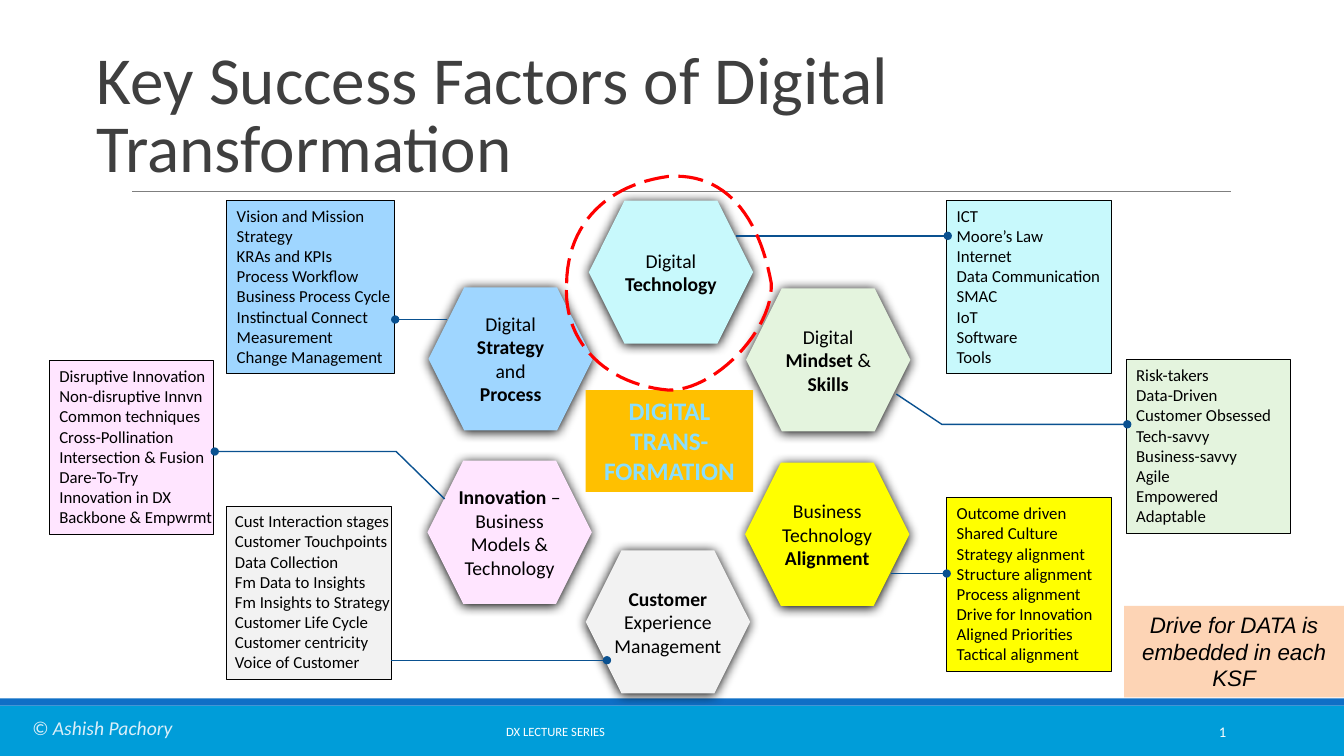
import dataclasses
import typing

import lxml.etree
import pptx
import pptx.dml.color
import pptx.enum.dml
import pptx.enum.shapes
import pptx.enum.text
import pptx.oxml.ns
import pptx.util

Inches = pptx.util.Inches
Kind = pptx.enum.shapes.MSO_SHAPE
Align = pptx.enum.text.PP_ALIGN
Anchor = pptx.enum.text.MSO_ANCHOR
Point = tuple[float, float]


@dataclasses.dataclass(frozen=True)
class Theme:
    font: str = "Calibri"
    accent: str = "Arial"
    ink: str = "000000"
    white: str = "FFFFFF"
    title: str = "3F3F3F"
    rule: str = "7F7F7F"
    band: str = "009DD9"
    stripe: str = "0F6FC6"
    author: str = "DBEFF9"
    link: str = "0A5190"
    ring: str = "FF0000"
    core: str = "FFC000"
    glow: str = "89DEFE"
    note: str = "FDD4B5"
    head: float = 48
    big: float = 18
    mid: float = 16
    body: float = 14
    small: float = 12
    page: float = 10.5
    foot: float = 9


@dataclasses.dataclass(frozen=True)
class Factor:
    """A hexagon, its list box and the link between them."""
    fill: str
    hexagon: Point
    label: str
    box: Point
    items: str
    link: tuple[Point, ...]
    pad: float = 0.1
    width: float = 1.63
    left: float = 0.1
    right: float = 0.1


THEME = Theme()
HEX = (1.63, 1.42)
BOX_H = 1.72

FACTORS = (
    Factor("C8F9FC", (5.84, 1.99), "Digital *Technology*", (9.39, 1.99),
           "ICT\nMoore’s Law\nInternet\nData Communication\nSMAC\nIoT\nSoftware\nTools",
           ((7.3, 2.34), (9.4, 2.34)), pad=0),
    Factor("E4F4DE", (7.4, 2.86), "Digital *Mindset* & *Skills*", (11.17, 3.57),
           "Risk-takers\nData-Driven\nCustomer Obsessed\nTech-savvy\n"
           "Business-savvy\nAgile\nEmpowered\nAdaptable",
           ((8.89, 3.91), (9.34, 4.21), (11.18, 4.21))),
    Factor("FFFF00", (7.39, 4.59), "Business Technology *Alignment*", (9.39, 4.94),
           "Outcome driven\nShared Culture\nStrategy alignment\nStructure alignment\n"
           "Process alignment\nDrive for Innovation\nAligned Priorities\nTactical alignment",
           ((8.84, 5.69), (9.39, 5.69))),
    Factor("F2F2F2", (5.81, 5.46), "*Customer* Experience Management", (2.25, 5.02),
           "Cust Interaction stages\nCustomer Touchpoints\nData Collection\n"
           "Fm Data to Insights\nFm Insights to Strategy\nCustomer Life Cycle\n"
           "Customer centricity\nVoice of Customer",
           ((3.88, 6.55), (6.02, 6.55)), pad=0, left=0.08, right=0),
    Factor("FFE5FF", (4.24, 4.57), "*Innovation* –Business Models &\nTechnology", (0.49, 3.58),
           "Disruptive Innovation\nNon-disruptive Innvn\nCommon techniques\n"
           "Cross-Pollination\nIntersection & Fusion\nDare-To-Try\n"
           "Innovation in DX\nBackbone & Empwrmt",
           ((4.41, 4.95), (3.93, 4.48), (2.13, 4.48)), pad=0, right=0),
    Factor("9FD6FF", (4.25, 2.85), "Digital *Strategy* and *Process*", (2.25, 1.99),
           "Vision and Mission\nStrategy\nKRAs and KPIs\nProcess Workflow\n"
           "Business Process Cycle\nInstinctual Connect\nMeasurement\nChange Management",
           ((4.43, 3.17), (3.92, 3.17)), width=1.66, right=0),
)

RING = (
    ((5.62, 2.81), (5.63, 2.2), (6.04, 1.83), (6.63, 1.75)),
    ((6.63, 1.75), (7.2, 1.71), (7.53, 2.15), (7.65, 2.81)),
    ((7.65, 2.81), (7.67, 3.28), (7.08, 3.88), (6.63, 3.87)),
    ((6.63, 3.87), (6.05, 3.82), (5.58, 3.43), (5.62, 2.81)),
)


def color(code: str) -> pptx.dml.color.RGBColor:
    return pptx.dml.color.RGBColor.from_string(code)


def add(parent: typing.Any, tag: str, **attrs: str) -> typing.Any:
    return lxml.etree.SubElement(parent, pptx.oxml.ns.qn(tag), attrs)


def write(shape: typing.Any, text: str, *, size: float, ink: str = THEME.ink,
          font: str = THEME.font, bold: bool = False, italic: bool = False,
          align: typing.Any = Align.LEFT, anchor: typing.Any = Anchor.TOP,
          left: float = 0.1, right: float = 0.1, space: float = 1.0) -> None:
    """Fill a shape with text; newlines part paragraphs, asterisks mark bold."""
    frame = shape.text_frame
    frame.word_wrap = True
    frame.vertical_anchor = anchor
    frame.margin_left, frame.margin_right = Inches(left), Inches(right)
    frame.margin_top = frame.margin_bottom = Inches(0.05)
    for row, line in enumerate(text.split("\n")):
        para = frame.add_paragraph() if row else frame.paragraphs[0]
        para.alignment = align
        para.line_spacing = space
        for part, words in enumerate(line.split("*")):
            if not words:
                continue
            run = para.add_run()
            run.text = words
            run.font.name = font
            run.font.size = pptx.util.Pt(size)
            run.font.bold = bold or part % 2 == 1
            run.font.italic = italic
            run.font.color.rgb = color(ink)


def stroke(shape: typing.Any, ink: str, width: float) -> None:
    shape.line.color.rgb = color(ink)
    shape.line.width = pptx.util.Pt(width)


def block(slide: typing.Any, kind: typing.Any, x: float, y: float, w: float, h: float,
          fill: str, edge: bool = False) -> typing.Any:
    shape = slide.shapes.add_shape(kind, Inches(x), Inches(y), Inches(w), Inches(h))
    shape.shadow.inherit = False
    shape.fill.solid()
    shape.fill.fore_color.rgb = color(fill)
    if edge:
        stroke(shape, THEME.ink, 0.75)
    else:
        shape.line.fill.background()
    return shape


def label(slide: typing.Any, x: float, y: float, w: float, h: float,
          text: str, **form: typing.Any) -> None:
    box = slide.shapes.add_textbox(Inches(x), Inches(y), Inches(w), Inches(h))
    write(box, text, **form)


def trace(slide: typing.Any, points: typing.Sequence[Point], ink: str, width: float,
          close: bool = False) -> typing.Any:
    """Draw a straight connector for two points, else an unfilled outline."""
    spots = [(Inches(x), Inches(y)) for x, y in points]
    if len(spots) == 2:
        line = slide.shapes.add_connector(
            pptx.enum.shapes.MSO_CONNECTOR.STRAIGHT, *spots[0], *spots[1])
        stroke(line, ink, width)
        add(line._element.spPr, "a:effectLst")
        return line
    pen = slide.shapes.build_freeform(*spots[0])
    pen.add_line_segments(spots[1:], close=close)
    line = pen.convert_to_shape()
    line.shadow.inherit = False
    line.fill.background()
    stroke(line, ink, width)
    return line


def curve(a: Point, b: Point, c: Point, d: Point, steps: int = 24) -> list[Point]:
    """Sample a cubic curve, leaving out its end point."""
    spots = []
    for step in range(steps):
        t = step / steps
        mix = ((1 - t) ** 3, 3 * t * (1 - t) ** 2, 3 * t * t * (1 - t), t ** 3)
        spots.append((sum(m * p[0] for m, p in zip(mix, (a, b, c, d))),
                      sum(m * p[1] for m, p in zip(mix, (a, b, c, d)))))
    return spots


def draw_hex(slide: typing.Any, item: Factor) -> None:
    shape = block(slide, Kind.HEXAGON, *item.hexagon, *HEX, item.fill)
    effects = shape._element.spPr.find(pptx.oxml.ns.qn("a:effectLst"))
    glow = add(effects, "a:outerShdw", blurRad=str(pptx.util.Pt(8.5)),
               dist=str(pptx.util.Pt(1)), dir="5400000", algn="t", rotWithShape="0")
    add(glow, "a:srgbClr", val=THEME.ink)
    write(shape, item.label, size=THEME.body, align=Align.CENTER, anchor=Anchor.MIDDLE,
          left=item.pad, right=item.pad)


def draw_list(slide: typing.Any, item: Factor) -> None:
    box = block(slide, Kind.RECTANGLE, *item.box, item.width, BOX_H, item.fill, edge=True)
    write(box, item.items, size=THEME.small, left=item.left, right=item.right)
    line = trace(slide, item.link, THEME.link, 1)
    add(line.line._get_or_add_ln(), "a:tailEnd", type="oval")


def main() -> None:
    deck = pptx.Presentation()
    deck.slide_width, deck.slide_height = Inches(13.33), Inches(7.5)
    slide = deck.slides.add_slide(deck.slide_layouts[5])

    block(slide, Kind.RECTANGLE, 0, 7, 13.33, 0.5, THEME.band)
    block(slide, Kind.RECTANGLE, 0, 6.93, 13.33, 0.07, THEME.stripe)
    trace(slide, ((1.31, 1.9), (12.21, 1.9)), THEME.rule, 0.75)

    title = slide.shapes.title
    title.left, title.top = Inches(0.86), Inches(0.31)
    title.width, title.height = Inches(12.02), Inches(1.59)
    write(title, "Key Success Factors of Digital Transformation", size=THEME.head,
          ink=THEME.title, anchor=Anchor.BOTTOM, space=0.85)

    label(slide, 4.03, 7.06, 2.96, 0.4, "DX LECTURE SERIES", size=THEME.foot,
          ink=THEME.white, align=Align.CENTER, anchor=Anchor.MIDDLE)
    label(slide, 10.83, 7.06, 1.43, 0.4, "1", size=THEME.page,
          ink=THEME.white, align=Align.RIGHT, anchor=Anchor.MIDDLE)
    label(slide, 0.22, 7.05, 2.1, 0.34, "© Ashish Pachory", size=THEME.body,
          ink=THEME.author, italic=True)

    for item in FACTORS:
        draw_hex(slide, item)
    for item in FACTORS:
        draw_list(slide, item)

    note = block(slide, Kind.RECTANGLE, 11.15, 6.01, 2.18, 0.91, THEME.note)
    write(note, "Drive for DATA is embedded in each KSF", size=THEME.mid,
          font=THEME.accent, italic=True, align=Align.CENTER)
    core = block(slide, Kind.RECTANGLE, 5.81, 3.87, 1.66, 1.01, THEME.core)
    write(core, "DIGITAL TRANS-FORMATION", size=THEME.big, ink=THEME.glow,
          bold=True, align=Align.CENTER)

    ring = trace(slide, [p for arc in RING for p in curve(*arc)], THEME.ring, 2.25, close=True)
    ring.line.dash_style = pptx.enum.dml.MSO_LINE.LONG_DASH
    deck.save("out.pptx")


if __name__ == "__main__":
    main()
